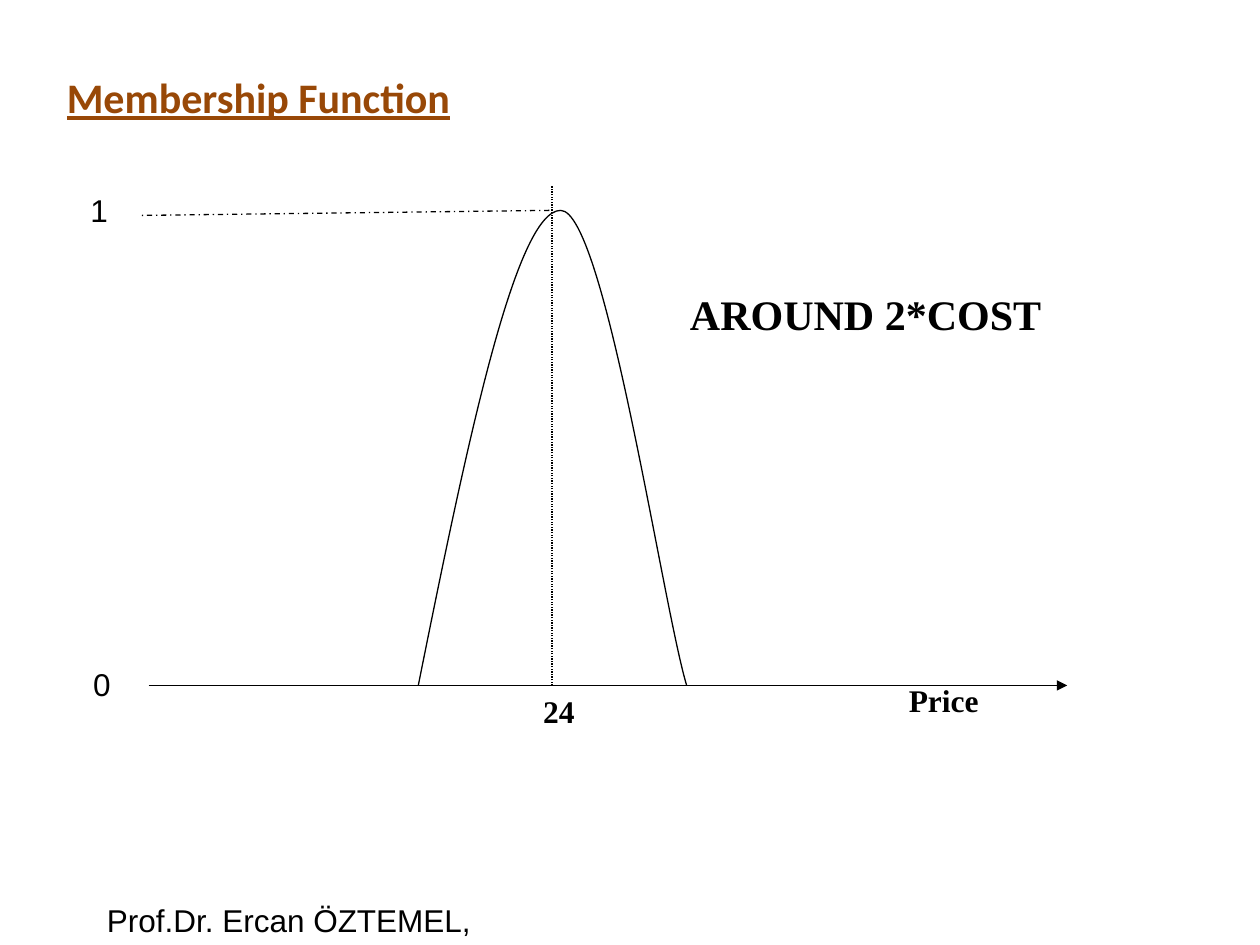
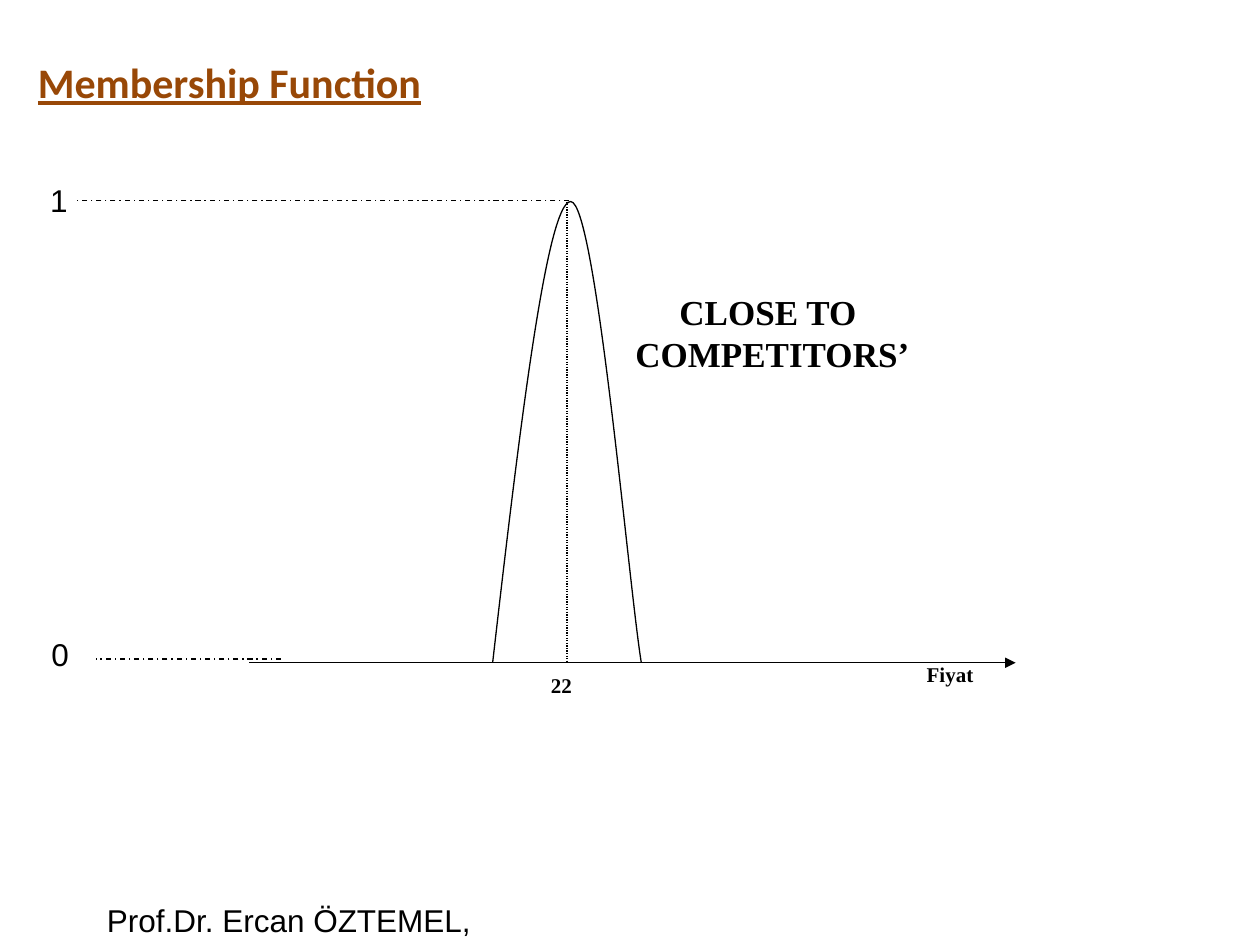
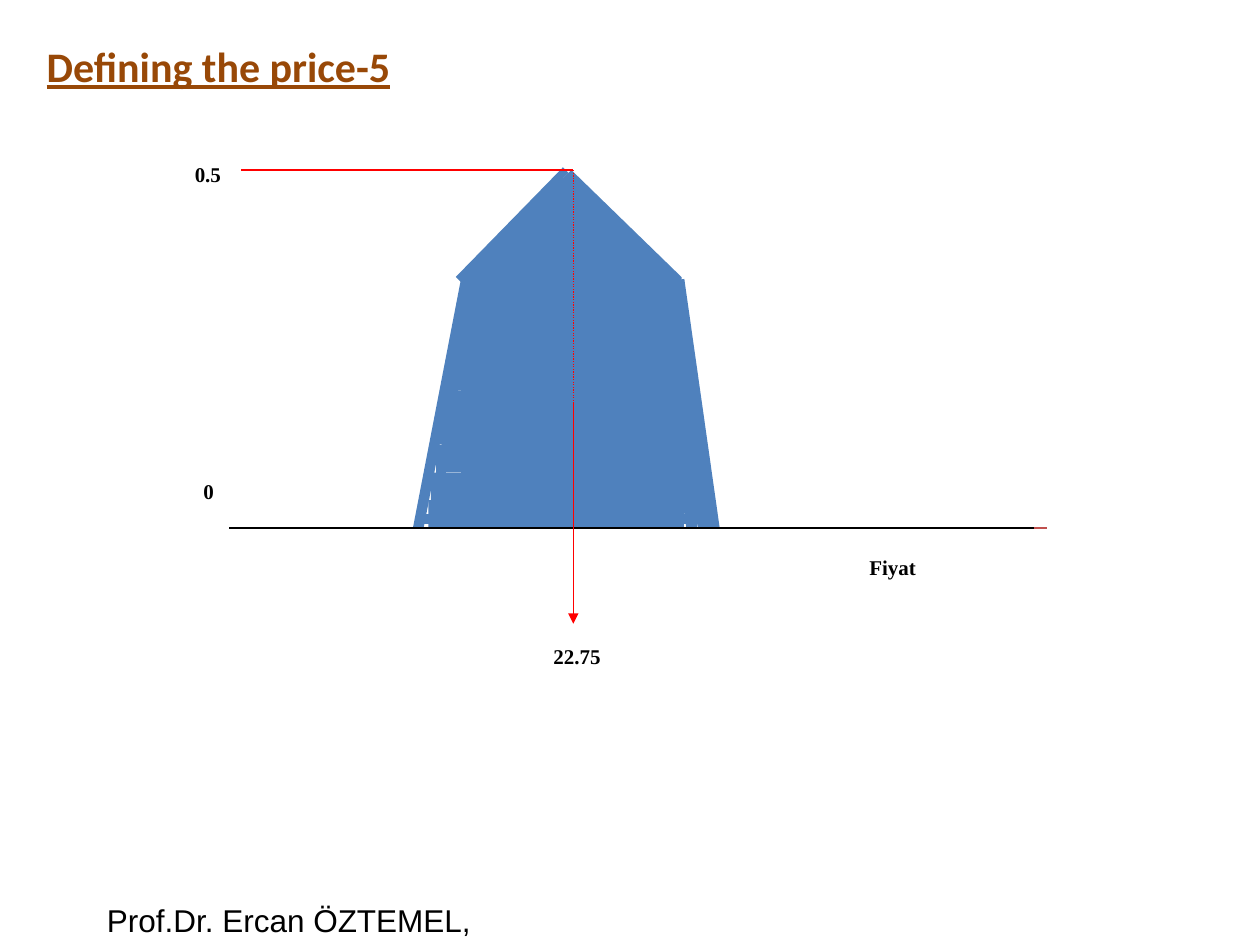
from dataclasses import dataclass, field
from typing import Optional

import pptx
import pptx.dml.color
import pptx.enum.dml
import pptx.enum.shapes
import pptx.enum.text
import pptx.oxml
import pptx.oxml.ns
import pptx.presentation
import pptx.shapes.autoshape
import pptx.slide
import pptx.text.text
import pptx.util

Inches = pptx.util.Inches
Kind = pptx.enum.shapes.MSO_SHAPE
Dash = pptx.enum.dml.MSO_LINE
Align = pptx.enum.text.PP_ALIGN

# Shared look
COLORS = {
    "ink": "000000",
    "title": "984807",
    "area": "4F81BD",
    "mark": "FF0000",
    "accent": "C0504D",
}
TITLE_FONT = {"name": "Calibri", "size": pptx.util.Pt(24), "bold": True, "underline": True}
PLAIN_FONT = {"name": "Arial", "size": pptx.util.Pt(18), "bold": False}
SERIF_FONT = {"name": "Times New Roman", "bold": True}
TITLE_HEIGHT = 0.51
FOOTER_ID = 20


@dataclass
class Label:
    text: str
    left: float
    top: float
    width: float
    height: float
    size: float = 12
    serif: bool = True
    wrap: bool = False
    spacing: Optional[float] = None


@dataclass
class Stroke:
    start: tuple[float, float]
    end: tuple[float, float]
    color: str = "ink"
    width: float = 0.75
    dash: Optional[Dash] = None
    arrow: bool = False


@dataclass
class Block:
    left: float
    top: float
    width: float
    height: float
    kind: Kind = Kind.RECTANGLE
    rotation: float = 0


@dataclass
class Figure:
    title: str
    title_at: tuple[float, float, float]
    labels: list[Label]
    strokes: list[Stroke]
    blocks: list[Block] = field(default_factory=list)
    curve: list[tuple[float, float]] = field(default_factory=list)


def color(name: str) -> pptx.dml.color.RGBColor:
    return pptx.dml.color.RGBColor.from_string(COLORS[name])


def format_font(font: pptx.text.text.Font, values: dict, color_name: str) -> None:
    for name, value in values.items():
        setattr(font, name, value)
    font.color.rgb = color(color_name)


def draw_title(page: pptx.slide.Slide, figure: Figure) -> None:
    title = page.shapes.title
    left, top, width = figure.title_at
    title.left, title.top = Inches(left), Inches(top)
    title.width, title.height = Inches(width), Inches(TITLE_HEIGHT)
    frame = title.text_frame
    frame.text = figure.title
    frame.word_wrap = True
    frame.auto_size = pptx.enum.text.MSO_AUTO_SIZE.SHAPE_TO_FIT_TEXT
    frame.vertical_anchor = pptx.enum.text.MSO_ANCHOR.TOP
    para = frame.paragraphs[0]
    para.alignment = Align.LEFT
    format_font(para.runs[0].font, TITLE_FONT, "title")


def draw_label(page: pptx.slide.Slide, label: Label) -> pptx.shapes.autoshape.Shape:
    box = page.shapes.add_textbox(
        Inches(label.left), Inches(label.top), Inches(label.width), Inches(label.height))
    frame = box.text_frame
    frame.text = label.text
    frame.word_wrap = label.wrap
    frame.auto_size = pptx.enum.text.MSO_AUTO_SIZE.SHAPE_TO_FIT_TEXT
    values = {**SERIF_FONT, "size": pptx.util.Pt(label.size)} if label.serif else PLAIN_FONT
    for para in frame.paragraphs:
        para.alignment = Align.CENTER if label.serif else Align.LEFT
        if label.spacing:
            para.line_spacing = label.spacing
        for span in para.runs:
            format_font(span.font, values, "ink")
    return box


def draw_stroke(page: pptx.slide.Slide, stroke: Stroke) -> None:
    connector = page.shapes.add_connector(
        pptx.enum.shapes.MSO_CONNECTOR.STRAIGHT,
        *(Inches(value) for value in stroke.start + stroke.end))
    connector.line.color.rgb = color(stroke.color)
    connector.line.width = pptx.util.Pt(stroke.width)
    if stroke.dash:
        connector.line.dash_style = stroke.dash
    properties = connector.element.spPr
    if stroke.arrow:
        tail = pptx.oxml.parse_xml(
            f'<a:tailEnd {pptx.oxml.ns.nsdecls("a")} type="triangle"/>')
        properties.find(pptx.oxml.ns.qn("a:ln")).append(tail)
    properties.append(pptx.oxml.parse_xml(
        f'<a:effectLst {pptx.oxml.ns.nsdecls("a")}/>'))


def draw_block(page: pptx.slide.Slide, block: Block) -> None:
    shape = page.shapes.add_shape(
        block.kind, Inches(block.left), Inches(block.top),
        Inches(block.width), Inches(block.height))
    shape.rotation = block.rotation
    shape.shadow.inherit = False
    shape.fill.solid()
    shape.fill.fore_color.rgb = color("area")
    shape.line.fill.background()


def draw_curve(page: pptx.slide.Slide, points: list[tuple[float, float]]) -> None:
    """Draw a start point followed by groups of three Bezier points."""
    start, *others = [(Inches(x), Inches(y)) for x, y in points]
    builder = page.shapes.build_freeform(*start)
    builder.add_line_segments(others, close=False)
    shape = builder.convert_to_shape()
    shape.shadow.inherit = False
    shape.fill.background()
    shape.line.color.rgb = color("ink")
    shape.line.width = pptx.util.Pt(0.75)
    # Turn each three straight segments into one cubic segment
    segments = list(shape.element.iter(pptx.oxml.ns.qn("a:lnTo")))
    for group in zip(segments[::3], segments[1::3], segments[2::3]):
        cubic = pptx.oxml.parse_xml(f'<a:cubicBezTo {pptx.oxml.ns.nsdecls("a")}/>')
        group[0].addprevious(cubic)
        for segment in group:
            cubic.append(segment[0])
            segment.getparent().remove(segment)


def draw_figure(page: pptx.slide.Slide, figure: Figure) -> None:
    draw_title(page, figure)
    for block in figure.blocks:
        draw_block(page, block)
    if figure.curve:
        draw_curve(page, figure.curve)
    for stroke in figure.strokes:
        draw_stroke(page, stroke)
    for label in figure.labels:
        draw_label(page, label)


def add_footer(deck: pptx.presentation.Presentation, page: pptx.slide.Slide) -> None:
    """Place the author line on the master, so that every page shows it."""
    box = draw_label(
        page, Label("Prof.Dr. Ercan ÖZTEMEL,", 0.75, 7.1, 3.19, 0.4, serif=False))
    box.element.nvSpPr.cNvPr.set("id", str(FOOTER_ID))
    deck.slide_master.shapes.element.append(box.element)


# Membership of a price around twice the cost
COST = Figure(
    "Membership Function", (0.43, 0.52, 4.58),
    curve=[(3.32, 5.44), (3.7, 3.55), (4.09, 1.67), (4.45, 1.67),
           (4.8, 1.67), (5.26, 4.81), (5.45, 5.44)],
    strokes=[
        Stroke((1.18, 5.44), (8.47, 5.44), arrow=True),
        Stroke((4.38, 5.44), (4.38, 1.48), dash=Dash.ROUND_DOT),
        Stroke((4.36, 1.67), (1.1, 1.71), dash=Dash.DASH_DOT),
    ],
    labels=[
        Label("AROUND 2*COST", 5.09, 2.24, 3.56, 0.5, 24, wrap=True),
        Label("Price", 5.98, 5.44, 3.02, 0.32, 18, wrap=True, spacing=0.7),
        Label("24", 4.21, 5.44, 0.45, 0.4, 18),
        Label("1", 0.62, 1.47, 0.34, 0.37, serif=False, wrap=True),
        Label("0", 0.64, 5.23, 0.34, 0.37, serif=False, wrap=True),
    ],
)

# Membership of a price close to the competitors'
COMPETITORS = Figure(
    "Membership Function", (0.2, 0.4, 4.58),
    curve=[(3.91, 5.26), (4.12, 3.43), (4.34, 1.6), (4.53, 1.6),
           (4.73, 1.6), (4.99, 4.65), (5.09, 5.26)],
    strokes=[
        Stroke((1.98, 5.26), (8.06, 5.26), arrow=True),
        Stroke((4.5, 1.6), (4.5, 5.26), dash=Dash.ROUND_DOT),
        Stroke((4.52, 1.59), (0.6, 1.59), dash=Dash.DASH_DOT),
        Stroke((2.23, 5.23), (0.76, 5.23), dash=Dash.DASH_DOT),
    ],
    labels=[
        Label("CLOSE TO \nCOMPETITORS’", 4.13, 2.26, 4, 0.77, 20, wrap=True),
        Label("Fiyat", 6.28, 5.26, 2.52, 0.24, wrap=True, spacing=0.7),
        Label("22", 4.27, 5.29, 0.37, 0.3),
        Label("1", 0.3, 1.39, 0.34, 0.37, serif=False),
        Label("0", 0.31, 4.99, 0.34, 0.37, serif=False),
    ],
)

# Combined area and the price read from it
BAR_CORNERS = [(3.4, 3.97), (3.42, 3.75), (3.47, 3.53), (3.51, 3.42),
               (3.51, 3.2), (3.51, 3.1), (3.61, 2.55), (3.57, 2.88)]
RIGHT_EDGES = [(5.3, 5.58), (5.2, 5.49), (5.39, 5.67), (5.31, 5.6)]
AREA_EDGES = [
    ((3.7, 2.22), (3.32, 4.19)),
    *(((upper, 2.22), (lower, 4.19)) for upper, lower in RIGHT_EDGES),
    ((3.7, 2.55), (3.51, 3.53)),
    ((5.58, 4.12), (3.32, 4.12)),
    ((3.5, 3.53), (3.5, 4.08)),
    *(((x, 3.64), (x, 4.19)) for x in (5.39, 5.49)),
    ((5.39, 3.2), (5.49, 3.75)),
]
PRICE = Figure(
    "Defining the price-5", (0.27, 0.27, 4.38),
    blocks=[
        Block(3.66, 2.2, 1.75, 1.99),
        Block(3.66, 1.35, 1.75, 0.85, Kind.FLOWCHART_MERGE, 180),
        *(Block(left, top, 1.22, 0.22) for left, top in BAR_CORNERS),
    ],
    strokes=[
        Stroke((7.16, 4.19), (8.31, 4.19), "accent"),
        Stroke((3.64, 2.22), (4.49, 1.35), "area", 4.5),
        *(Stroke(start, end, "area", 6) for start, end in AREA_EDGES),
        Stroke((4.55, 1.35), (1.91, 1.35), "mark"),
        Stroke((4.55, 1.35), (4.55, 4.19), "mark", dash=Dash.ROUND_DOT),
        Stroke((1.82, 4.19), (8.21, 4.19)),
        Stroke((4.55, 3.2), (4.55, 4.95), "mark", arrow=True),
    ],
    labels=[
        Label("0.5", 1.33, 1.23, 0.64, 0.3, wrap=True),
        Label("0", 1.51, 3.75, 0.29, 0.3),
        Label("22.75", 4.29, 5.06, 0.58, 0.3),
        Label("Fiyat", 6.8, 4.35, 0.57, 0.3),
    ],
)


def main() -> None:
    deck = pptx.Presentation()
    deck.slide_width, deck.slide_height = Inches(10), Inches(7.5)
    layout = deck.slide_layouts.get_by_name("Title Only")
    for figure in (COST, COMPETITORS, PRICE):
        draw_figure(deck.slides.add_slide(layout), figure)
    add_footer(deck, deck.slides[0])
    deck.save("out.pptx")


if __name__ == "__main__":
    main()
